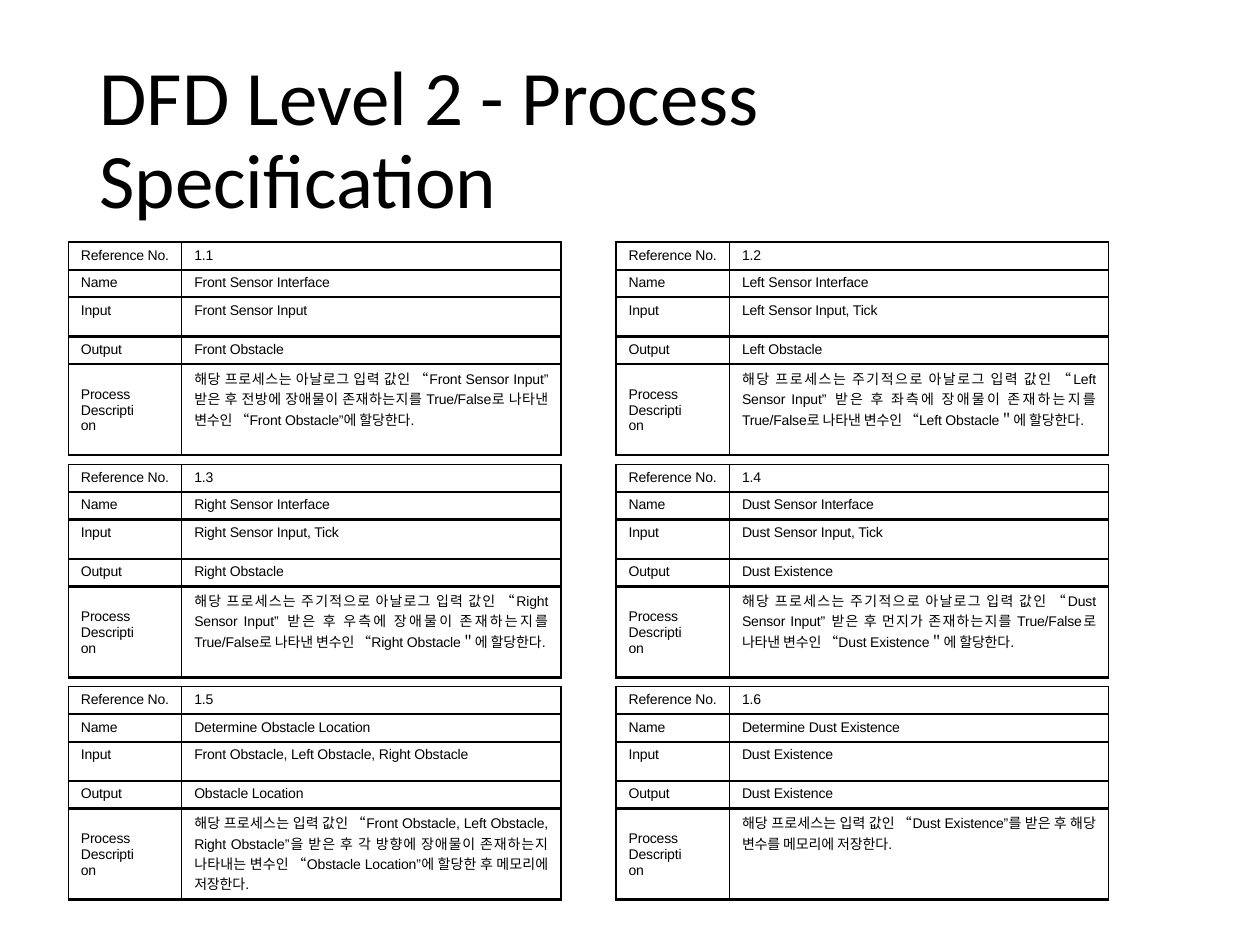
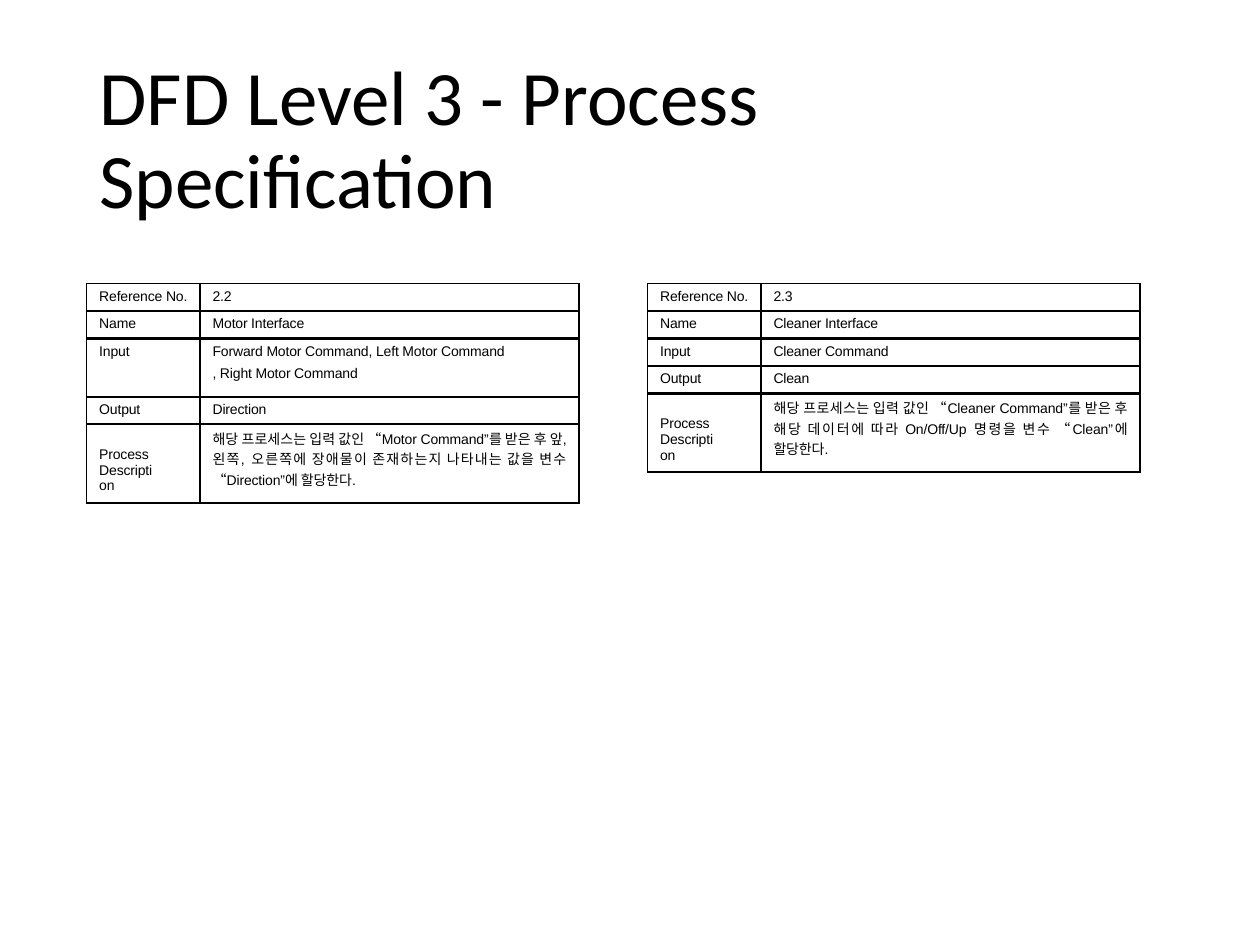
from pptx import Presentation
from pptx.dml.color import RGBColor as Rgb
from pptx.enum.text import MSO_ANCHOR as Anchor, PP_ALIGN as Align
from pptx.oxml.ns import qn
from pptx.util import Pt
from lxml.etree import SubElement as Sub

HUES = {"ink": "000000"}
COLS = (64.8, 216.7)
LABELS = ("Reference No.", "Name", "Input", "Output", "Process Description")
INDENT = 7.2
LINE = 15.75  # height of a one-line row

LEVEL2 = [
    ("1.1", "Front Sensor Interface", "Front Sensor Input", "Front Obstacle",
     "해당 프로세스는 아날로그 입력 값인 “Front Sensor Input” 받은 후 전방에 장애물이 "
     "존재하는지를 True/False로 나타낸 변수인 “Front Obstacle”에 할당한다."),
    ("1.2", "Left Sensor Interface", "Left Sensor Input, Tick", "Left Obstacle",
     "해당 프로세스는 주기적으로 아날로그 입력 값인 “Left Sensor Input” 받은 후 좌측에 장애물이 "
     "존재하는지를 True/False로 나타낸 변수인 “Left Obstacle＂에 할당한다."),
    ("1.3", "Right Sensor Interface", "Right Sensor Input, Tick", "Right Obstacle",
     "해당 프로세스는 주기적으로 아날로그 입력 값인 “Right Sensor Input” 받은 후 우측에 장애물이 "
     "존재하는지를 True/False로 나타낸 변수인 “Right Obstacle＂에 할당한다."),
    ("1.4", "Dust Sensor Interface", "Dust Sensor Input, Tick", "Dust Existence",
     "해당 프로세스는 주기적으로 아날로그 입력 값인 “Dust Sensor Input” 받은 후 먼지가 "
     "존재하는지를 True/False로 나타낸 변수인 “Dust Existence＂에 할당한다."),
    ("1.5", "Determine Obstacle Location",
     "Front Obstacle, Left Obstacle, Right Obstacle", "Obstacle Location",
     "해당 프로세스는 입력 값인 “Front Obstacle, Left Obstacle, Right Obstacle”을 받은 후 "
     "각 방향에 장애물이 존재하는지 나타내는 변수인 “Obstacle Location”에 할당한 후 메모리에 저장한다."),
    ("1.6", "Determine Dust Existence", "Dust Existence", "Dust Existence",
     "해당 프로세스는 입력 값인 “Dust Existence”를 받은 후 해당 변수를 메모리에 저장한다."),
]
LEVEL3 = [
    ("2.2", "Motor Interface",
     "Forward Motor Command, Left Motor Command\n, Right Motor Command", "Direction",
     "해당 프로세스는 입력 값인 “Motor Command”를 받은 후 앞, 왼쪽, 오른쪽에 장애물이 "
     "존재하는지 나타내는 값을 변수 “Direction”에 할당한다."),
    ("2.3", "Cleaner Interface", "Cleaner Command", "Clean",
     "해당 프로세스는 입력 값인 “Cleaner Command”를 받은 후 해당 데이터에 따라 "
     "On/Off/Up 명령을 변수 “Clean”에 할당한다."),
]


def add_run(para, text, size, face):
    run = para.add_run()
    run.text = text
    run.font.size = Pt(size)
    run.font.name = face
    run.font.color.rgb = Rgb.from_string(HUES["ink"])
    return run


def add_title(slide, text):
    box = slide.shapes.add_textbox(Pt(49.7), Pt(28.8), Pt(620.6), Pt(104.4))
    frame = box.text_frame
    frame.word_wrap = True
    frame.vertical_anchor = Anchor.MIDDLE
    para = frame.paragraphs[0]
    para.line_spacing = 0.9
    add_run(para, text, 44, "Calibri")


def set_edges(cell, top):
    """Thin sides, a heavier bottom, and a top of the given width."""
    props = cell._tc.get_or_add_tcPr()
    for side, width in (("L", 1), ("R", 1), ("T", top), ("B", 1.5)):
        line = Sub(props, qn(f"a:ln{side}"), w=str(Pt(width)))
        fill = Sub(line, qn("a:solidFill"))
        Sub(fill, qn("a:srgbClr"), val=HUES["ink"])


def fill_cell(cell, text, first, top=2.9, right=0, align=Align.LEFT):
    set_edges(cell, 1 if first else 1.5)
    cell.fill.background()
    cell.margin_left, cell.margin_top = Pt(INDENT), Pt(top)
    cell.margin_right, cell.margin_bottom = Pt(right), 0
    frame = cell.text_frame
    for num, part in enumerate(text.split("\n")):
        para = frame.add_paragraph() if num else frame.paragraphs[0]
        para.alignment = align
        para.space_before = Pt(3.5 if num else 0)
        run = add_run(para, part, 8, "Arial")
        run.font._element.set("spc", "-10")


def add_spec(slide, left, top, values, heights):
    """One process as a table of labels and values."""
    frame = slide.shapes.add_table(len(LABELS), 2, Pt(left), Pt(top),
                                   Pt(sum(COLS)), Pt(sum(heights)))
    table = frame.table
    table.first_row = table.horz_banding = False
    for col, width in zip(table.columns, COLS):
        col.width = Pt(width)
    last = len(LABELS) - 1
    for num, (label, value) in enumerate(zip(LABELS, values)):
        table.rows[num].height = Pt(heights[num])
        name, body = table.cell(num, 0), table.cell(num, 1)
        if num == last:
            fill_cell(name, label, False, top=12.8, right=24)
            fill_cell(body, value, False, top=2.2, right=INDENT, align=Align.JUSTIFY)
        else:
            fill_cell(name, label, num == 0)
            fill_cell(body, value, num == 0)


def add_page(deck, title, specs, left, top, step, inputs, depth):
    """Title above a two-column grid; inputs holds the Input row heights."""
    slide = deck.slides.add_slide(deck.slide_layouts[6])
    add_title(slide, title)
    for num, (values, tall) in enumerate(zip(specs, inputs)):
        row, col = divmod(num, 2)
        add_spec(slide, left + col * step, top + row * 127, values,
                 (LINE, LINE, tall, LINE, depth))


def main():
    deck = Presentation()
    deck.slide_width, deck.slide_height = Pt(720), Pt(540)
    add_page(deck, "DFD Level 2 - Process Specification", LEVEL2,
             39, 138.4, 313, [22.5] * len(LEVEL2), 52)
    add_page(deck, "DFD Level 3 - Process Specification", LEVEL3,
             49.5, 162, 320.5, [33.25, LINE], 45)
    deck.save("out.pptx")


if __name__ == "__main__":
    main()
